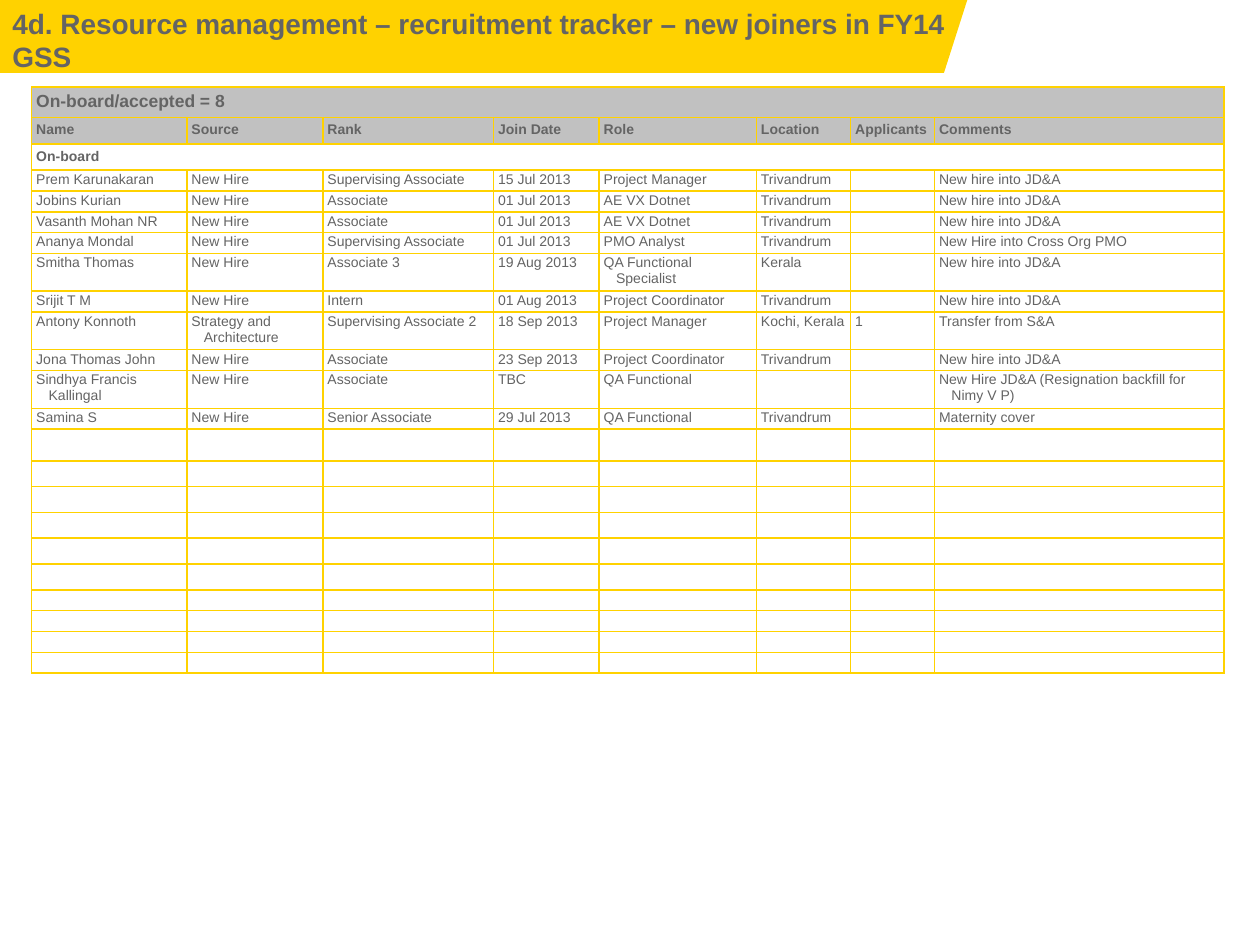
"""Build the recruitment tracker slide: a title banner above a table of new joiners."""
import lxml.etree
import pptx
import pptx.dml.color
import pptx.oxml.ns
import pptx.util

Cm = pptx.util.Cm
Pt = pptx.util.Pt
qn = pptx.oxml.ns.qn

GOLD, GREY, DARK, WHITE = "FFD200", "C1C1C1", "646464", "FFFFFF"
TITLE = "4d. Resource management – recruitment tracker – new joiners in FY14\nGSS"
HIRE, TVM, JDA = "New Hire", "Trivandrum", "New hire into JD&A"
CODER = "AE VX Dotnet"
HEADS = ["Name", "Source", "Rank", "Join Date", "Role", "Location", "Applicants", "Comments"]
STAFF = [
    ["Prem Karunakaran", HIRE, "Supervising Associate", "15 Jul 2013", "Project Manager", TVM, "", JDA],
    ["Jobins Kurian", HIRE, "Associate", "01 Jul 2013", CODER, TVM, "", JDA],
    ["Vasanth Mohan NR", HIRE, "Associate", "01 Jul 2013", CODER, TVM, "", JDA],
    ["Ananya Mondal", HIRE, "Supervising Associate", "01 Jul 2013", "PMO Analyst", TVM, "",
     "New Hire into Cross Org PMO"],
    ["Smitha Thomas", HIRE, "Associate 3", "19 Aug 2013", "QA Functional Specialist", "Kerala", "", JDA],
    ["Srijit T M", HIRE, "Intern", "01 Aug 2013", "Project Coordinator", TVM, "", JDA],
    ["Antony Konnoth", "Strategy and Architecture", "Supervising Associate 2", "18 Sep 2013",
     "Project Manager", "Kochi, Kerala", "1", "Transfer from S&A"],
    ["Jona Thomas John", HIRE, "Associate", "23 Sep 2013", "Project Coordinator", TVM, "", JDA],
    ["Sindhya Francis Kallingal", HIRE, "Associate", "TBC", "QA Functional", "", "",
     "New Hire JD&A (Resignation backfill for Nimy V P)"],
    ["Samina S", HIRE, "Senior Associate", "29 Jul 2013", "QA Functional", TVM, "", "Maternity cover"],
]
SPARE = 10
WIDTHS = [3.13, 2.74, 3.44, 2.13, 3.17, 1.9, 1.69, 5.83]
LINE, PAIR = 0.42, 0.76
TALLS = ([0.62, 0.53, 0.53] + [LINE] * 4 + [PAIR, LINE, PAIR, LINE, PAIR, LINE]
         + [0.64] + [0.52] * 5 + [LINE] * 4)


def color(code):
    """Turn a hex string into a colour."""
    return pptx.dml.color.RGBColor.from_string(code)


def style(para, size, bold):
    """Format every run of a paragraph."""
    for run in para.runs:
        run.font.name = "Arial"
        run.font.size = Pt(size)
        run.font.bold = bold
        run.font.color.rgb = color(DARK)


def add_band(slide):
    """Draw the slanted title banner."""
    pen = slide.shapes.build_freeform(Cm(19.5), 0)
    pen.add_line_segments([(Cm(19.03), Cm(1.47)), (0, Cm(1.47)), (0, 0)], close=True)
    band = pen.convert_to_shape()
    band.shadow.inherit = False
    band.fill.solid()
    band.fill.fore_color.rgb = color(GOLD)
    band.line.fill.background()


def add_title(slide):
    """Write the slide title."""
    frame = slide.shapes.add_textbox(0, 0, Cm(21.46), Cm(4.11)).text_frame
    frame.word_wrap = True
    frame.text = TITLE
    for para in frame.paragraphs:
        style(para, 16, True)


def add_edges(cell):
    """Give a cell its gold borders."""
    props = cell._tc.get_or_add_tcPr()
    for side in ("a:lnL", "a:lnR", "a:lnT", "a:lnB"):
        edge = lxml.etree.SubElement(props, qn(side), w=str(Pt(1)))
        fill = lxml.etree.SubElement(edge, qn("a:solidFill"))
        lxml.etree.SubElement(fill, qn("a:srgbClr"), val=GOLD)


def fill_cell(cell, text, size, bold, back, inset):
    """Set the text, look and margins of a cell."""
    add_edges(cell)
    cell.fill.solid()
    cell.fill.fore_color.rgb = color(back)
    cell.margin_left = cell.margin_right = Cm(0.09)
    cell.margin_top = cell.margin_bottom = Cm(inset)
    cell.text_frame.text = text
    para = cell.text_frame.paragraphs[0]
    para.space_after = Pt(size / 10)
    props = para._p.get_or_add_pPr()
    props.set("marL", str(Cm(0.25)))
    props.set("indent", str(-Cm(0.25)))
    style(para, size, bold)
    if not text:
        lxml.etree.SubElement(para._p, qn("a:endParaRPr"), sz=str(size * 100))


def add_grid(slide):
    """Add the tracker table."""
    blank = [""] * len(HEADS)
    rows = [["On-board/accepted = 8"] + blank[1:], HEADS, ["On-board"] + blank[1:]]
    rows += STAFF + [blank] * SPARE
    grid = slide.shapes.add_table(len(rows), len(HEADS), Cm(0.64), Cm(1.75),
                                  Cm(sum(WIDTHS)), Cm(sum(TALLS))).table
    grid.first_row = grid.horz_banding = False
    for col, width in zip(grid.columns, WIDTHS):
        col.width = Cm(width)
    for row, tall in zip(grid.rows, TALLS):
        row.height = Cm(tall)
    for i, row in enumerate(rows):
        head = i < 3
        for j, text in enumerate(row):
            fill_cell(grid.cell(i, j), text, 10 if i == 0 else 8, head,
                      GREY if i < 2 else WHITE, 0.09 if head else 0.03)
    for i in (0, 2):
        grid.cell(i, 0).merge(grid.cell(i, len(HEADS) - 1))


def main():
    """Build and save the slide."""
    deck = pptx.Presentation()
    deck.slide_width, deck.slide_height = Cm(25.4), Cm(19.05)
    slide = deck.slides.add_slide(deck.slide_layouts[6])
    add_band(slide)
    add_title(slide)
    add_grid(slide)
    deck.save("out.pptx")


if __name__ == "__main__":
    main()
